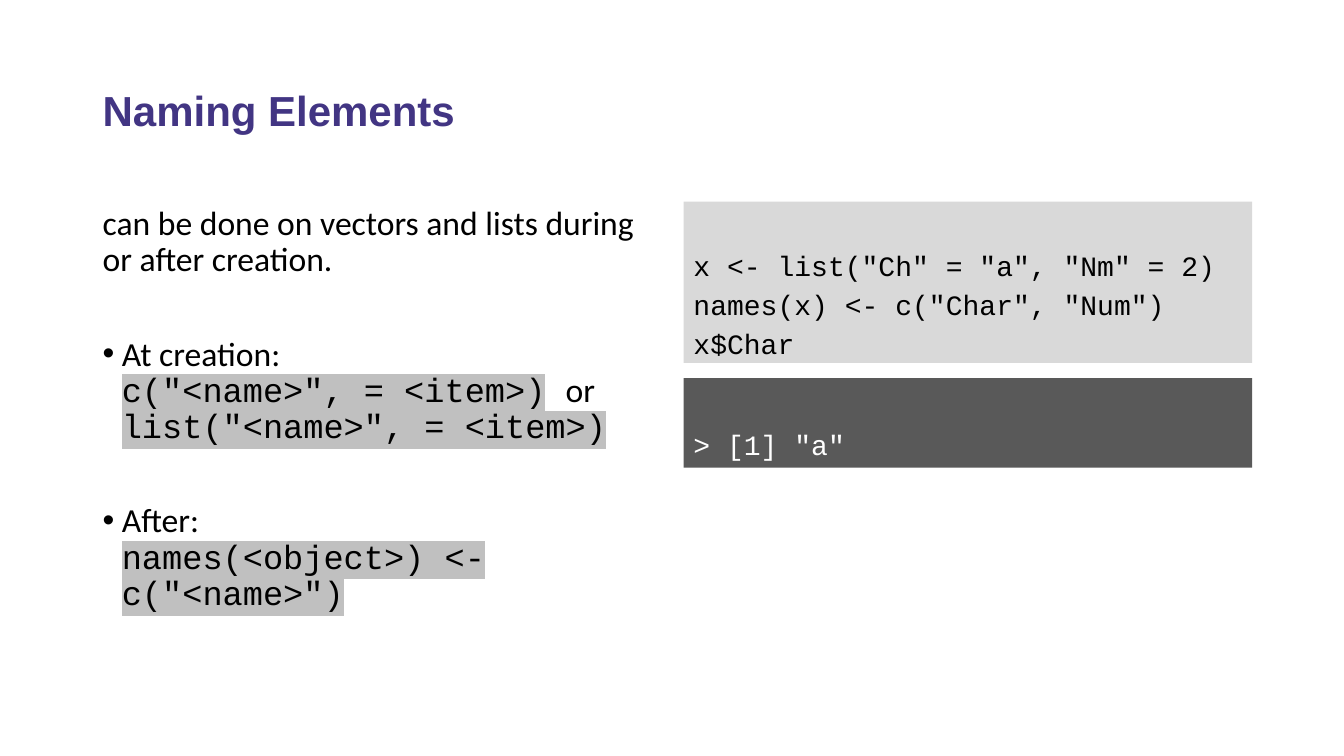
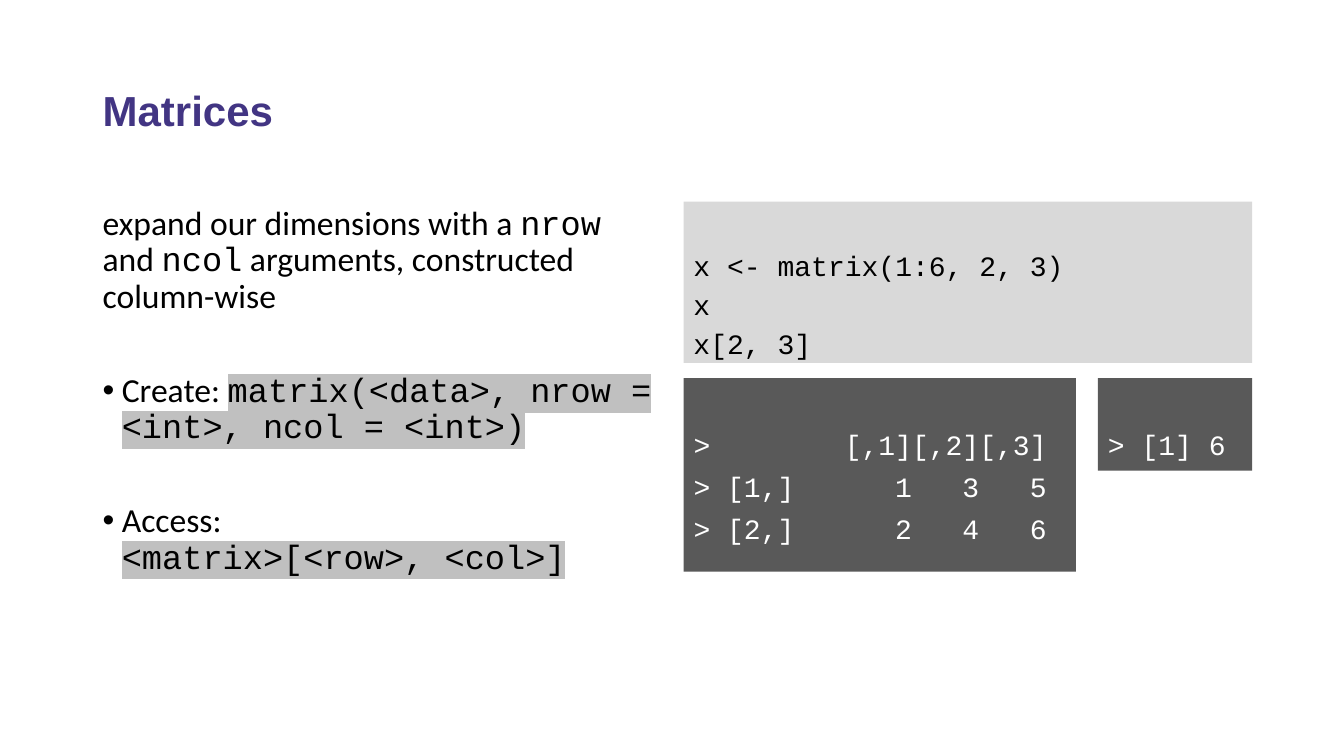
from collections import namedtuple

from lxml import etree
from pptx import Presentation
from pptx.dml.color import RGBColor
from pptx.enum.shapes import MSO_SHAPE
from pptx.enum.text import MSO_ANCHOR, PP_ALIGN
from pptx.oxml.ns import qn
from pptx.util import Inches, Pt

RECTANGLE = MSO_SHAPE.RECTANGLE
TOP, MIDDLE = MSO_ANCHOR.TOP, MSO_ANCHOR.MIDDLE
LEFT = PP_ALIGN.LEFT

Box = namedtuple("Box", "left top width height")
Span = namedtuple("Span", "text style")

SLIDE_WIDTH, SLIDE_HEIGHT = 13.33, 7.5
MARGIN, GUTTER, ROW_GAP = 0.92, 0.22, 0.15
CONTENT_WIDTH = 11.5
COLUMN_WIDTH = (CONTENT_WIDTH - GUTTER) / 2
RIGHT_COLUMN = MARGIN + COLUMN_WIDTH + GUTTER
BODY_TOP, CODE_HEIGHT = 2, 1.6
OUTPUT_TOP = BODY_TOP + CODE_HEIGHT + ROW_GAP
TITLE_BOX = Box(MARGIN, 0.4, CONTENT_WIDTH, 1.45)
BODY_BOX = Box(MARGIN, BODY_TOP, COLUMN_WIDTH, 4.38)
CODE_BOX = Box(RIGHT_COLUMN, BODY_TOP, COLUMN_WIDTH, CODE_HEIGHT)

BULLET_INDENT = 0.19
BULLET_GAP = 41.4
LISTING_GAP = 8.5
LISTING_INSET = 0.53
TAB_STOPS = (0.75, 1.5)
HIGHLIGHT = "C0C0C0"

TEXT_STYLES = {
    "title": {"name": "Arial", "size": Pt(30), "bold": True, "color": "423583"},
    "prose": {"name": "Calibri", "size": Pt(24), "color": "000000"},
    "mono": {"name": "Courier New", "size": Pt(24), "color": "000000"},
    "marked": {"name": "Courier New", "size": Pt(24), "color": "000000"},
    "code": {"name": "Courier New", "size": Pt(20), "color": "000000"},
    "output": {"name": "Courier New", "size": Pt(20), "color": "FFFFFF"},
}
PANELS = {
    "code": {"fill": "D9D9D9", "line_spacing": 0.8},
    "output": {"fill": "595959", "line_spacing": 0.9},
}

LESSONS = [
    {
        "title": "Naming Elements",
        "intro": [Span("can be done on vectors and lists during or after creation.", "prose")],
        "bullets": [
            [
                Span("At creation: \n", "prose"),
                Span('c("<name>", = <item>)', "marked"),
                Span(" ", "mono"),
                Span("or\n", "prose"),
                Span('list("<name>", = <item>)', "marked"),
            ],
            [
                Span("After: \n", "prose"),
                Span('names(<object>) <- c("<name>")', "marked"),
            ],
        ],
        "code": [
            'x <- list("Ch" = "a", "Nm" = 2)',
            'names(x) <- c("Char", "Num")',
            "x$Char",
        ],
        "outputs": [(COLUMN_WIDTH, 0.89, ['> [1] "a"'])],
    },
    {
        "title": "Matrices",
        "intro": [
            Span("expand our dimensions with a ", "prose"),
            Span("nrow", "mono"),
            Span(" and ", "prose"),
            Span("ncol", "mono"),
            Span(" arguments, constructed column-wise", "prose"),
        ],
        "bullets": [
            [
                Span("Create: ", "prose"),
                Span("matrix(<data>, nrow = <int>, ncol = <int>)", "marked"),
            ],
            [
                Span("Access: \n", "prose"),
                Span("<matrix>[<row>, <col>]", "marked"),
            ],
        ],
        "code": ["x <- matrix(1:6, 2, 3)", "x", "x[2, 3]"],
        "outputs": [
            (3.89, 1.92, [">\t\t[,1][,2][,3]", "> [1,]\t   1   3   5", "> [2,]\t   2   4   6"]),
            (1.53, 0.92, ["> [1] 6"]),
        ],
    },
]


def rgb(code):
    """Turn a hex string into a colour."""
    return RGBColor.from_string(code)


def set_all(target, values):
    """Set each named attribute on the target."""
    for name, value in values.items():
        setattr(target, name, value)


def prepare_frame(frame, anchor=TOP, margin_top=0.05):
    """Set wrapping, anchor and top inset of a text frame."""
    set_all(frame, {
        "word_wrap": True,
        "vertical_anchor": anchor,
        "margin_top": Inches(margin_top),
    })


def highlight(run):
    """Put the marker colour behind a run."""
    marker = etree.Element(qn("a:highlight"))
    etree.SubElement(marker, qn("a:srgbClr"), val=HIGHLIGHT)
    run.font._element.find(qn("a:solidFill")).addnext(marker)


def add_span(paragraph, span):
    """Append styled text, turning newlines into line breaks."""
    for index, piece in enumerate(span.text.split("\n")):
        if index:
            paragraph.add_line_break()
        if not piece:
            continue
        run = paragraph.add_run()
        run.text = piece
        style = dict(TEXT_STYLES[span.style])
        run.font.color.rgb = rgb(style.pop("color"))
        set_all(run.font, style)
        if span.style == "marked":
            highlight(run)


def add_bullet(paragraph):
    """Give a paragraph a hanging bullet."""
    properties = paragraph._p.get_or_add_pPr()
    properties.set("marL", str(Inches(BULLET_INDENT)))
    properties.set("indent", str(-Inches(BULLET_INDENT)))
    etree.SubElement(properties, qn("a:buFont"), typeface="Arial")
    etree.SubElement(properties, qn("a:buChar"), char="•")


def add_tabs(paragraph):
    """Give a paragraph the tab stops of the output listings."""
    stops = etree.SubElement(paragraph._p.get_or_add_pPr(), qn("a:tabLst"))
    for position in TAB_STOPS:
        etree.SubElement(stops, qn("a:tab"), pos=str(Inches(position)), algn="l")


def write_paragraph(frame, index, spans, gap, line_spacing=0.9):
    """Fill the next paragraph of a frame and return it."""
    paragraph = frame.add_paragraph() if index else frame.paragraphs[0]
    set_all(paragraph, {
        "alignment": LEFT,
        "line_spacing": line_spacing,
        "space_before": Pt(gap if index else 0),
    })
    for span in spans:
        add_span(paragraph, span)
    return paragraph


def add_title(slide, box, title):
    """Place the slide title."""
    frame = slide.shapes.add_textbox(*map(Inches, box)).text_frame
    prepare_frame(frame, MIDDLE)
    write_paragraph(frame, 0, [Span(title, "title")], 0)


def add_explanation(slide, box, intro, bullets):
    """Place the introduction and its bullets."""
    frame = slide.shapes.add_textbox(*map(Inches, box)).text_frame
    prepare_frame(frame)
    for index, spans in enumerate([intro, *bullets]):
        paragraph = write_paragraph(frame, index, spans, BULLET_GAP)
        if index:
            add_bullet(paragraph)


def add_listing(slide, box, kind, lines):
    """Place a filled panel with code or output lines."""
    panel = slide.shapes.add_shape(RECTANGLE, *map(Inches, box))
    panel.shadow.inherit = False
    panel.fill.solid()
    panel.fill.fore_color.rgb = rgb(PANELS[kind]["fill"])
    panel.line.fill.background()
    prepare_frame(panel.text_frame, margin_top=LISTING_INSET)
    for index, line in enumerate(lines):
        paragraph = write_paragraph(
            panel.text_frame, index, [Span(line, kind)], LISTING_GAP, PANELS[kind]["line_spacing"])
        if "\t" in line:
            add_tabs(paragraph)


def add_outputs(slide, left, top, outputs):
    """Place output panels side by side."""
    for width, height, lines in outputs:
        add_listing(slide, Box(left, top, width, height), "output", lines)
        left += width + GUTTER


def add_lesson(deck, lesson):
    """Add one slide with explanation, code and output."""
    slide = deck.slides.add_slide(deck.slide_layouts[6])
    add_title(slide, TITLE_BOX, lesson["title"])
    add_explanation(slide, BODY_BOX, lesson["intro"], lesson["bullets"])
    add_listing(slide, CODE_BOX, "code", lesson["code"])
    add_outputs(slide, RIGHT_COLUMN, OUTPUT_TOP, lesson["outputs"])


def main():
    """Build and save the deck."""
    deck = Presentation()
    set_all(deck, {"slide_width": Inches(SLIDE_WIDTH), "slide_height": Inches(SLIDE_HEIGHT)})
    for lesson in LESSONS:
        add_lesson(deck, lesson)
    deck.save("out.pptx")


if __name__ == "__main__":
    main()
